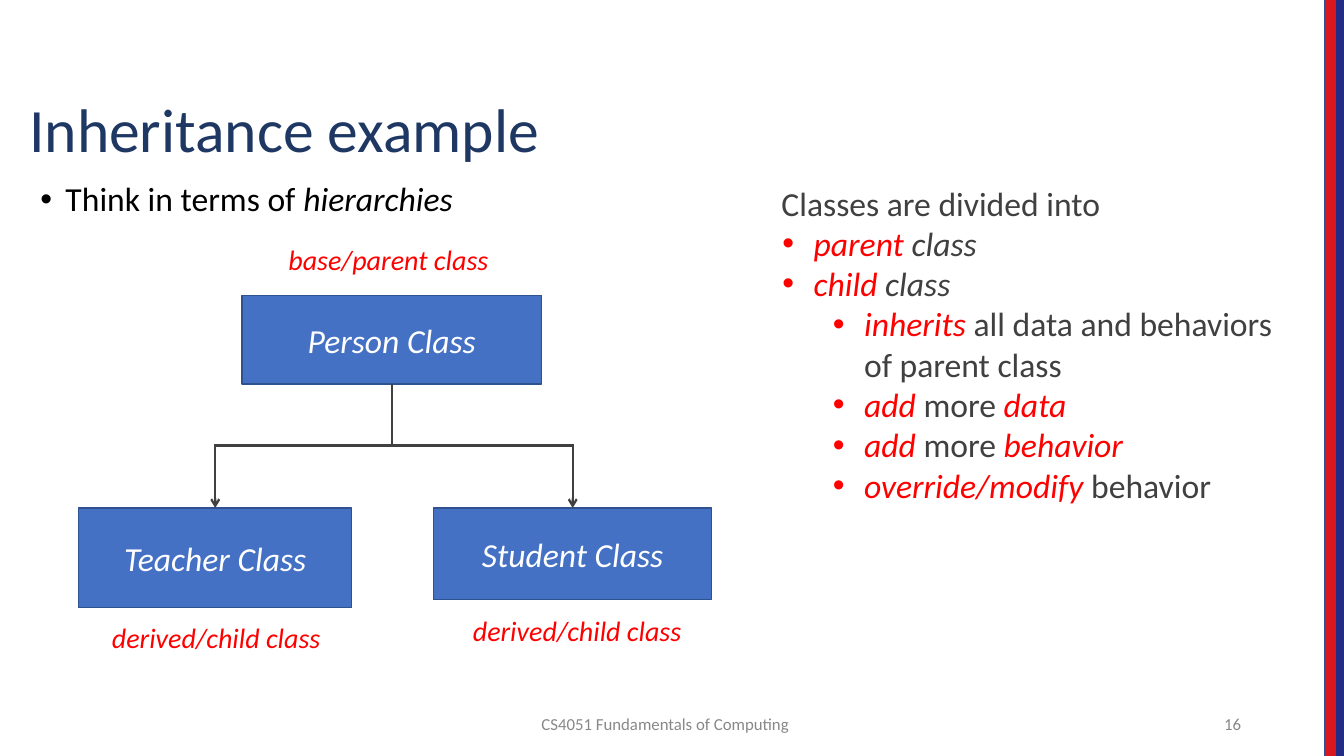
from dataclasses import dataclass

from lxml.etree import SubElement
from pptx import Presentation
from pptx.dml.color import RGBColor
from pptx.enum.shapes import MSO_CONNECTOR as Link, MSO_SHAPE as Preset
from pptx.enum.text import MSO_ANCHOR as Anchor, PP_ALIGN as Align
from pptx.oxml.ns import qn
from pptx.util import Inches, Pt

COLORS = {
    "navy": "1F3863", "box": "4471C4", "edge": "2E528F", "white": "FFFFFF",
    "black": "000000", "red": "FF0000", "grey": "404040", "muted": "888888",
    "blue_stripe": "222C82", "red_stripe": "DA171F",
}
FONT = "Calibri"
BOTTOM, TOP = 2, 0


@dataclass
class Span:
    text: str
    color: str = "grey"
    italic: bool = False
    size: float = 24


@dataclass
class Para:
    spans: list[Span]
    left: float = 0.01
    bullet: str = ""
    hanging: float = 0
    level: int = 0
    before: float = 0
    spacing: float = 1


@dataclass
class TextBlock:
    left: float
    top: float
    width: float
    height: float
    paras: list[Para]
    inset_top: float = 0.01


@dataclass
class ClassBox:
    name: str
    left: float
    top: float
    width: float
    height: float


def rgb(name: str) -> RGBColor:
    return RGBColor.from_string(COLORS[name])


def red(text: str) -> Span:
    return Span(text, "red", True)


def item(*spans: Span, level: int = 0) -> Para:
    return Para(list(spans), 0.33 + 0.5 * level, "red", 0.31, level)


def label(text: str, left: float, top: float) -> TextBlock:
    return TextBlock(left, top, 2.09, 0.36, [Para([Span(text, "red", True, 20)])])


def footer(text: str, left: float, width: float, indent: float) -> TextBlock:
    para = Para([Span(text, "muted", size=12)], indent, spacing=1.03)
    return TextBlock(left, 7.07, width, 0.19, [para], inset_top=0)


def fill_para(target, para: Para) -> None:
    target.level = para.level
    target.line_spacing = para.spacing
    target.space_before = Pt(para.before)
    props = target._p.get_or_add_pPr()
    props.set("marL", str(Inches(para.left)))
    props.set("indent", str(Inches(-para.hanging)))
    if para.bullet:
        bullet_color = SubElement(props, qn("a:buClr"))
        SubElement(bullet_color, qn("a:srgbClr"), val=COLORS[para.bullet])
        SubElement(props, qn("a:buFont"), typeface="Arial")
        SubElement(props, qn("a:buChar"), char="•")
    for span in para.spans:
        add_span(target, span)


def add_span(target, span: Span) -> None:
    run = target.add_run()
    run.text = span.text
    formats = {"name": FONT, "size": Pt(span.size), "italic": span.italic}
    for key, value in formats.items():
        setattr(run.font, key, value)
    run.font.color.rgb = rgb(span.color)


def set_frame(frame, inset_top: float, anchor) -> None:
    formats = {
        "word_wrap": True, "vertical_anchor": anchor, "margin_left": 0,
        "margin_right": 0, "margin_bottom": 0, "margin_top": Inches(inset_top),
    }
    for key, value in formats.items():
        setattr(frame, key, value)


def add_text(page, block: TextBlock) -> None:
    place = map(Inches, (block.left, block.top, block.width, block.height))
    frame = page.shapes.add_textbox(*place).text_frame
    set_frame(frame, block.inset_top, Anchor.TOP)
    for index, para in enumerate(block.paras):
        fill_para(frame.add_paragraph() if index else frame.paragraphs[0], para)


def add_rect(page, place: tuple, fill: str, edge: str):
    rect = page.shapes.add_shape(Preset.RECTANGLE, *map(Inches, place))
    rect.shadow.inherit = False
    rect.fill.solid()
    rect.fill.fore_color.rgb = rgb(fill)
    rect.line.color.rgb = rgb(edge)
    rect.line.width = Pt(0.96)
    return rect


def add_class_box(page, box: ClassBox):
    rect = add_rect(page, (box.left, box.top, box.width, box.height), "box", "edge")
    set_frame(rect.text_frame, 0, Anchor.MIDDLE)
    para = rect.text_frame.paragraphs[0]
    para.alignment = Align.CENTER
    add_span(para, Span(box.name, "white", True))
    return rect


def add_line(page, start: tuple, end: tuple, color: str, width: float):
    line = page.shapes.add_connector(Link.STRAIGHT, *map(Inches, start + end))
    line.line.color.rgb = rgb(color)
    line.line.width = Pt(width)
    SubElement(line._element.spPr, qn("a:effectLst"))
    return line


def add_hierarchy(page, parent: ClassBox, children: list[ClassBox]) -> None:
    fork, width = 4.42, 1.6
    trunk = parent.left + parent.width / 2
    parent_rect = add_class_box(page, parent)
    stem = add_line(page, (trunk, parent.top + parent.height), (trunk, fork), "grey", width)
    stem.begin_connect(parent_rect, BOTTOM)
    centers = [child.left + child.width / 2 for child in children]
    bar = add_line(page, (centers[0], fork), (centers[-1], fork), "grey", width)
    bar.line._get_or_add_ln().set("cap", "sq")
    for child, center in zip(children, centers):
        child_rect = add_class_box(page, child)
        drop = add_line(page, (center, fork), (center, child.top), "grey", width)
        drop.end_connect(child_rect, TOP)
        SubElement(drop.line._get_or_add_ln(), qn("a:tailEnd"), type="arrow")


PARENT = ClassBox("Person Class", 2.4, 2.93, 2.97, 0.88)
CHILDREN = [
    ClassBox("Teacher Class", 0.78, 5.04, 2.71, 0.99),
    ClassBox("Student Class", 4.3, 5.04, 2.76, 0.91),
]
TEXTS = [
    TextBlock(0.28, 0.89, 6.18, 0.76, [
        Para([Span("Inheritance example", "navy", size=44)])]),
    TextBlock(0.39, 1.76, 4.46, 0.99, [
        Para([Span("Think in terms of ", "black"), Span("hierarchies", "black", True)],
             0.26, "black", 0.25),
        Para([Span("base/parent class", "red", True, 20)], 2.47, before=16.7)]),
    label("derived/child class", 1.1, 6.15),
    label("derived/child class", 4.68, 6.08),
    TextBlock(7.74, 1.8, 4.98, 3.23, [
        Para([Span("Classes are divided into")]),
        item(red("parent "), Span("class", italic=True)),
        item(red("child "), Span("class", italic=True)),
        item(red("inherits "), Span("all data and behaviors of parent class"), level=1),
        item(red("add "), Span("more "), red("data"), level=1),
        item(red("add "), Span("more "), red("behavior"), level=1),
        item(red("override/modify "), Span("behavior"), level=1)]),
    footer("CS4051 Fundamentals of Computing", 5.36, 2.49, 0.01),
    footer("16", 12.1, 0.25, 0.04),
]


def main() -> None:
    deck = Presentation()
    deck.slide_width, deck.slide_height = Inches(13.33), Inches(7.5)
    page = deck.slides.add_slide(deck.slide_layouts[6])

    # Stripes on the right edge
    add_line(page, (13.14, 0), (13.14, 7.5), "edge", 0.75)
    for left, color in ((13.24, "blue_stripe"), (13.15, "red_stripe")):
        add_rect(page, (left, 0, 0.09, 7.5), color, color)

    # Class diagram
    add_hierarchy(page, PARENT, CHILDREN)

    # Title, lists, labels and footer
    for block in TEXTS:
        add_text(page, block)

    deck.save("out.pptx")


if __name__ == "__main__":
    main()
